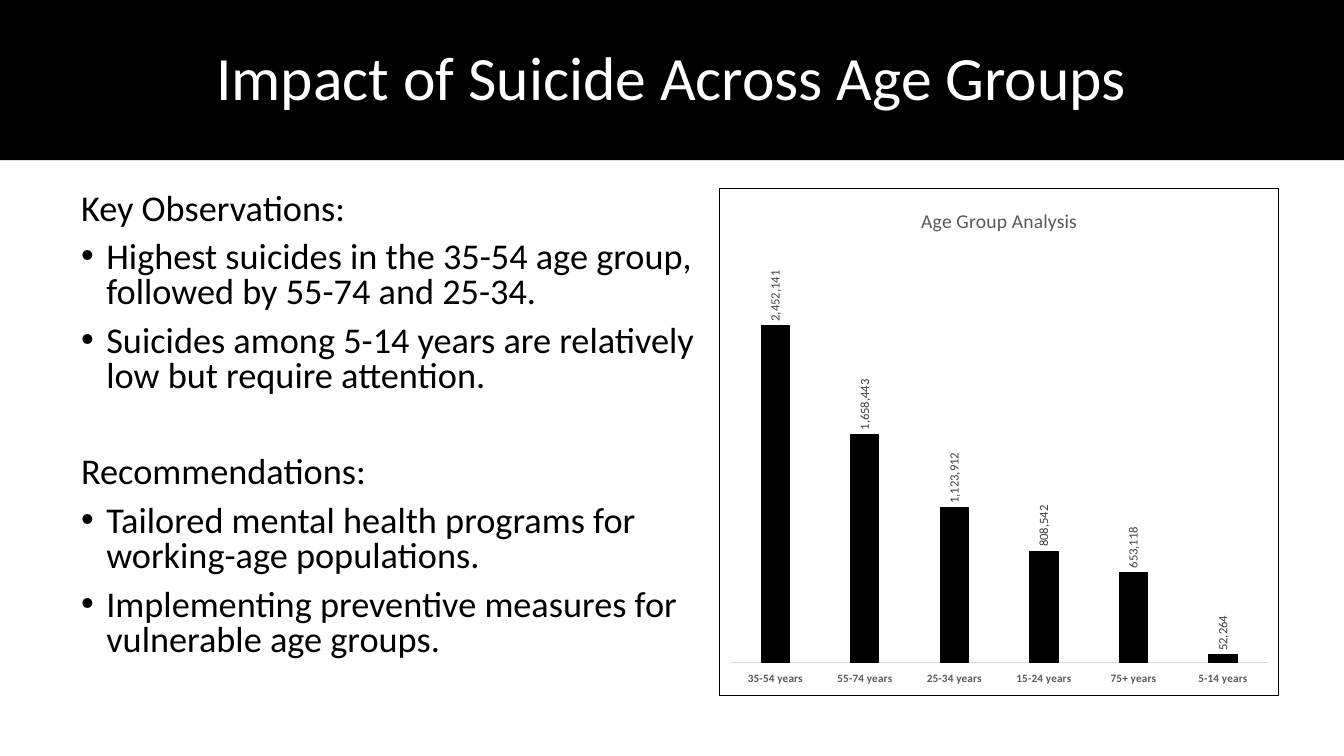
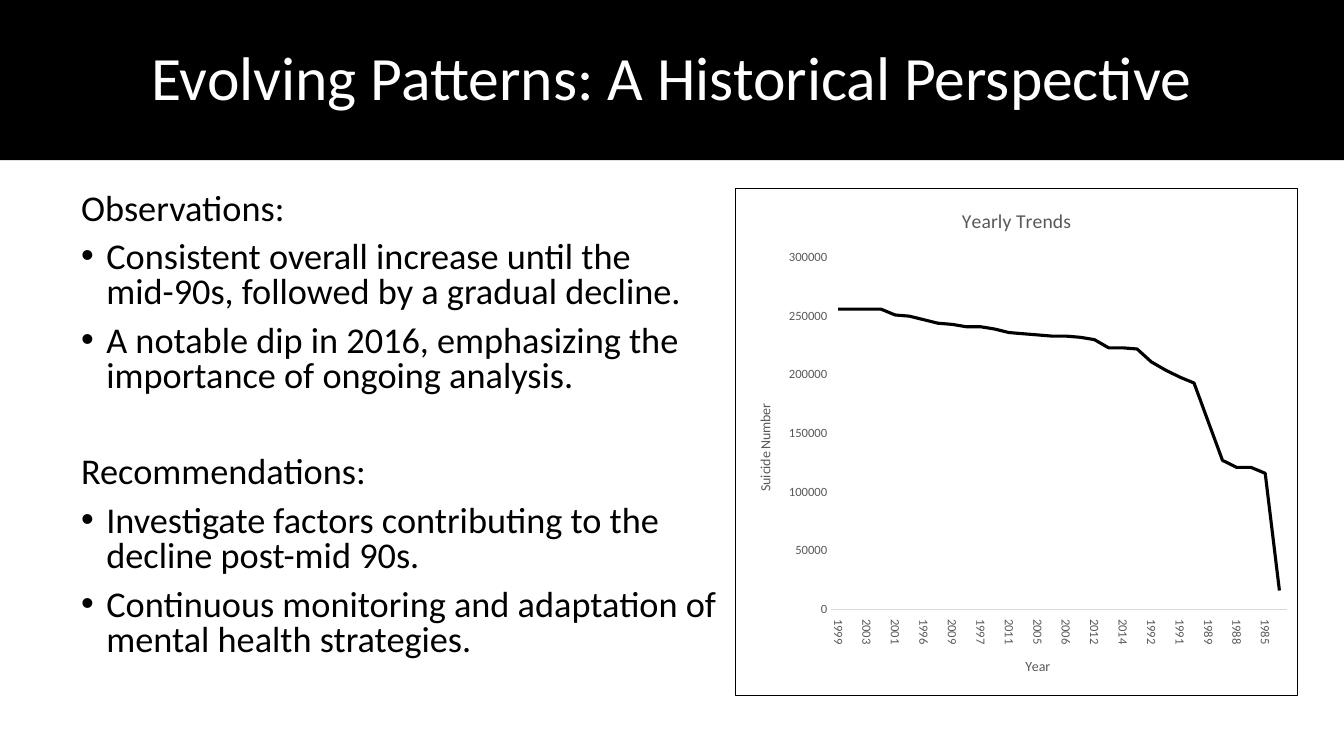
"""Build two slides, each with a title band, a column of findings and a chart."""
from lxml.etree import SubElement
from pptx import Presentation
from pptx.chart.data import CategoryChartData as ChartData
from pptx.dml.color import RGBColor
from pptx.enum.chart import XL_CHART_TYPE as ChartType
from pptx.enum.chart import XL_LABEL_POSITION as LabelPosition
from pptx.enum.chart import XL_TICK_LABEL_POSITION as TickLabels
from pptx.enum.chart import XL_TICK_MARK as TickMark
from pptx.enum.shapes import MSO_SHAPE as Preset
from pptx.enum.text import MSO_ANCHOR as Anchor
from pptx.enum.text import PP_ALIGN as Align
from pptx.oxml import parse_xml
from pptx.oxml.ns import nsdecls, qn
from pptx.util import Inches, Pt

BLACK = RGBColor(0x00, 0x00, 0x00)
WHITE = RGBColor(0xFF, 0xFF, 0xFF)
GRAY = RGBColor(0x59, 0x59, 0x59)
DARK_GRAY = RGBColor(0x40, 0x40, 0x40)
PALE_GRAY = RGBColor(0xD9, 0xD9, 0xD9)

WIDTH, HEIGHT = Inches(13.33), Inches(7.5)
FONT = "Calibri"
BAND = (0, 0, 100, 21.2)
TEXT_AREA = (5.3, 24.9, 50.1, 63.5)
CHART_TOP, CHART_HEIGHT = 24.9, 67.2
INDENT = Inches(0.25)
BODY_PARA = {"line_spacing": 0.8, "space_before": Pt(10)}
SECTION_GAP = Pt(44)
UPWARD, DOWNWARD = -5400000, 5400000

AGE_GROUPS = {
    "35-54 years": 2452141, "55-74 years": 1658443, "25-34 years": 1123912,
    "15-24 years": 808542, "75+ years": 653118, "5-14 years": 52264,
}
YEARS = {
    "1999": 256000, "2002": 256000, "2003": 256000, "2000": 256000,
    "2001": 251000, "1998": 250000, "1996": 247000, "1995": 244000,
    "2009": 243000, "2004": 241000, "1997": 241000, "2010": 239000,
    "2011": 236000, "2008": 235000, "2005": 234000, "2007": 233000,
    "2006": 233000, "1994": 232000, "2012": 230000, "2013": 223000,
    "2014": 223000, "1993": 222000, "1992": 211000, "2015": 204000,
    "1991": 198000, "1990": 193000, "1989": 160000, "1987": 127000,
    "1988": 121000, "1986": 121000, "1985": 116000, "2016": 16000,
}
AGE_FINDINGS = {
    "Key Observations:": [
        "Highest suicides in the 35-54 age group, followed by 55-74 and 25-34.",
        "Suicides among 5-14 years are relatively low but require attention.",
    ],
    "Recommendations:": [
        "Tailored mental health programs for working-age populations.",
        "Implementing preventive measures for vulnerable age groups.",
    ],
}
YEAR_FINDINGS = {
    "Observations:": [
        "Consistent overall increase until the mid-90s, followed by a gradual decline.",
        "A notable dip in 2016, emphasizing the importance of ongoing analysis.",
    ],
    "Recommendations:": [
        "Investigate factors contributing to the decline post-mid 90s.",
        "Continuous monitoring and adaptation of mental health strategies.",
    ],
}


def place(left, top, width, height):
    """Turn percentages of the slide into lengths."""
    return (int(WIDTH * left / 100), int(HEIGHT * top / 100),
            int(WIDTH * width / 100), int(HEIGHT * height / 100))


def apply(target, formats):
    """Set each attribute named in formats."""
    for name, value in formats.items():
        setattr(target, name, value)


def style_font(font, size, color, bold=False):
    """Give a font its face, size, weight and colour."""
    apply(font, {"name": FONT, "size": Pt(size), "bold": bold})
    font.color.rgb = color


def style_line(line, color, width):
    """Give a line its colour and width."""
    line.color.rgb = color
    line.width = Pt(width)


def add_title_band(slide, text):
    """Add the full-width band that holds the title."""
    band = slide.shapes.add_shape(Preset.RECTANGLE, *place(*BAND))
    band.shadow.inherit = False
    band.fill.solid()
    band.fill.fore_color.rgb = BLACK
    band.line.fill.background()
    band.text_frame.vertical_anchor = Anchor.MIDDLE
    para = band.text_frame.paragraphs[0]
    apply(para, {"text": text, "alignment": Align.CENTER, "line_spacing": 0.9})
    style_font(para.runs[0].font, 44, WHITE)


def add_bullet(para):
    """Give a paragraph a hanging bullet."""
    properties = para._p.get_or_add_pPr()
    properties.set("marL", str(INDENT))
    properties.set("indent", str(-INDENT))
    SubElement(properties, qn("a:buFont")).set("typeface", "Arial")
    SubElement(properties, qn("a:buChar")).set("char", "•")


def add_findings(slide, sections):
    """Add headings, each followed by its bulleted points."""
    box = slide.shapes.add_textbox(*place(*TEXT_AREA))
    frame = box.text_frame
    frame.word_wrap = True
    para = frame.paragraphs[0]
    for number, (heading, points) in enumerate(sections.items()):
        for position, text in enumerate([heading, *points]):
            if number or position:
                para = frame.add_paragraph()
            apply(para, {"text": text, **BODY_PARA})
            style_font(para.runs[0].font, 25.9, BLACK)
            if position:
                add_bullet(para)
            elif number:
                para.space_before = SECTION_GAP


def set_title(owner, text, size):
    """Write the title of a chart or an axis."""
    frame = owner.text_frame
    frame.text = text
    style_font(frame.paragraphs[0].runs[0].font, size, GRAY)


def rotate(chart, route, angle):
    """Turn the chart text found along the route."""
    for body in chart.element.xpath(route):
        body.set("rot", str(angle))
        body.set("vert", "horz")


def add_border(chart):
    """Draw a thin frame around the chart."""
    border = parse_xml(
        f'<c:spPr {nsdecls("c", "a")}><a:noFill/><a:ln w="{Pt(0.75)}"><a:solidFill>'
        f'<a:srgbClr val="{BLACK}"/></a:solidFill></a:ln></c:spPr>')
    chart.element.find(qn("c:txPr")).addprevious(border)


def add_framed_chart(slide, kind, title, left, width, values, label_size, maximum):
    """Add a framed chart of one series and return it."""
    data = ChartData()
    data.categories = list(values)
    data.add_series("Series 1", list(values.values()))
    area = place(left, CHART_TOP, width, CHART_HEIGHT)
    chart = slide.shapes.add_chart(kind, *area, data).chart
    chart.has_legend = False
    style_font(chart.font, 10, BLACK)
    add_border(chart)
    set_title(chart.chart_title, title, 14)
    for axis in (chart.category_axis, chart.value_axis):
        apply(axis, {"has_major_gridlines": False,
                     "major_tick_mark": TickMark.NONE,
                     "minor_tick_mark": TickMark.NONE})
        style_font(axis.tick_labels.font, label_size, GRAY)
    chart.category_axis.tick_label_position = TickLabels.LOW
    style_line(chart.category_axis.format.line, PALE_GRAY, 0.75)
    apply(chart.value_axis, {"minimum_scale": 0, "maximum_scale": maximum})
    return chart


def add_age_chart(slide):
    """Add the columns for the age groups."""
    chart = add_framed_chart(slide, ChartType.COLUMN_CLUSTERED, "Age Group Analysis",
                             53.5, 41.7, AGE_GROUPS, 8, 3000000)
    chart.value_axis.visible = False
    chart.category_axis.tick_labels.font.bold = True
    plot = chart.plots[0]
    apply(plot, {"gap_width": 219, "overlap": -27, "vary_by_categories": False})
    columns = plot.series[0].format
    columns.fill.solid()
    columns.fill.fore_color.rgb = BLACK
    style_line(columns.line, BLACK, 0.75)
    plot.has_data_labels = True
    labels = plot.data_labels
    apply(labels, {"show_value": True, "position": LabelPosition.OUTSIDE_END,
                   "number_format": "#,##0", "number_format_is_linked": False})
    style_font(labels.font, 9, DARK_GRAY)
    rotate(chart, ".//c:dLbls//a:bodyPr", UPWARD)


def add_year_chart(slide):
    """Add the line for the years."""
    chart = add_framed_chart(slide, ChartType.LINE, "Yearly Trends",
                             54.7, 41.9, YEARS, 9, 300000)
    chart.plots[0].vary_by_categories = False
    trend = chart.plots[0].series[0]
    trend.smooth = False
    style_line(trend.format.line, BLACK, 2.25)
    set_title(chart.category_axis.axis_title, "Year", 10)
    set_title(chart.value_axis.axis_title, "Suicide Number", 10)
    apply(chart.value_axis, {"major_unit": 50000})
    chart.value_axis.format.line.fill.background()
    labels = chart.value_axis.tick_labels
    apply(labels, {"number_format": "0", "number_format_is_linked": False})
    rotate(chart, ".//c:valAx/c:title//a:bodyPr", UPWARD)
    rotate(chart, ".//c:catAx/c:txPr/a:bodyPr", DOWNWARD)


def main():
    """Build and save the deck."""
    deck = Presentation()
    apply(deck, {"slide_width": WIDTH, "slide_height": HEIGHT})
    pages = [
        ("Impact of Suicide Across Age Groups", AGE_FINDINGS, add_age_chart),
        ("Evolving Patterns: A Historical Perspective", YEAR_FINDINGS, add_year_chart),
    ]
    for title, findings, add_page_chart in pages:
        page = deck.slides.add_slide(deck.slide_layouts[6])
        add_title_band(page, title)
        add_findings(page, findings)
        add_page_chart(page)
    deck.save("out.pptx")


if __name__ == "__main__":
    main()
